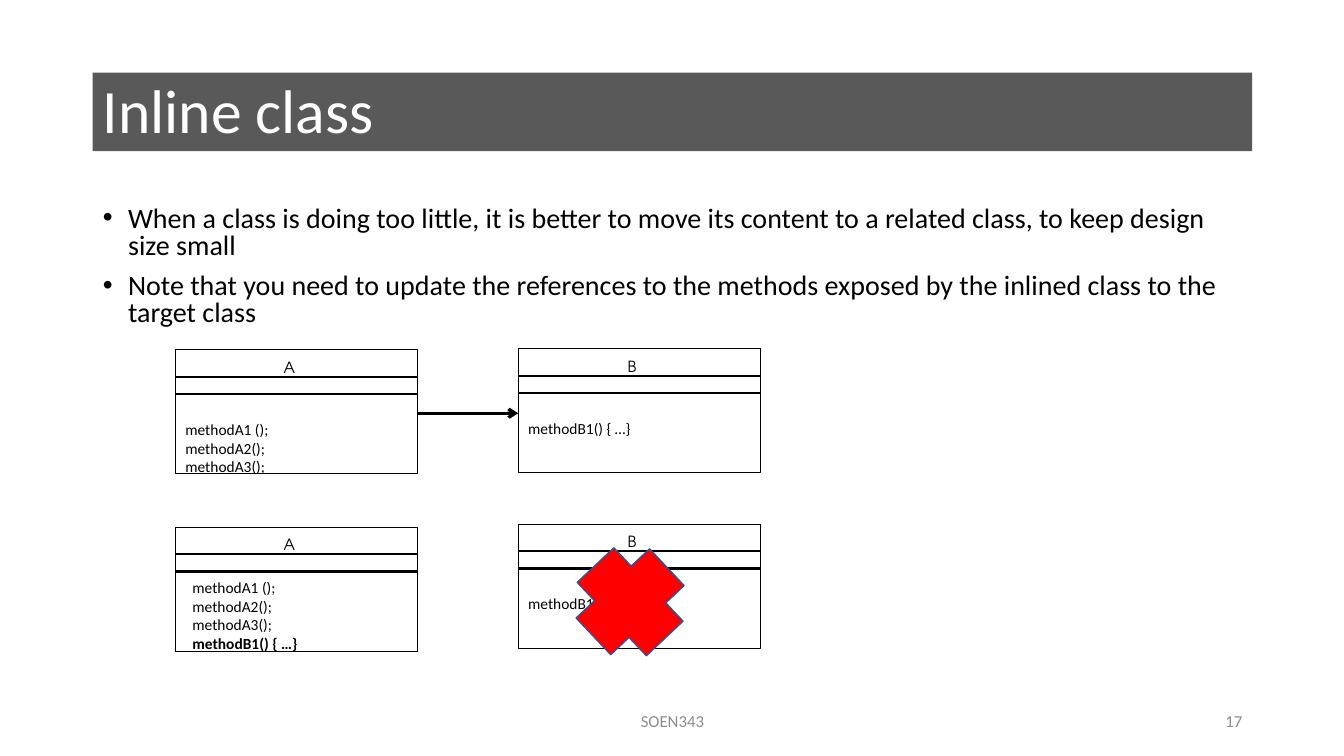
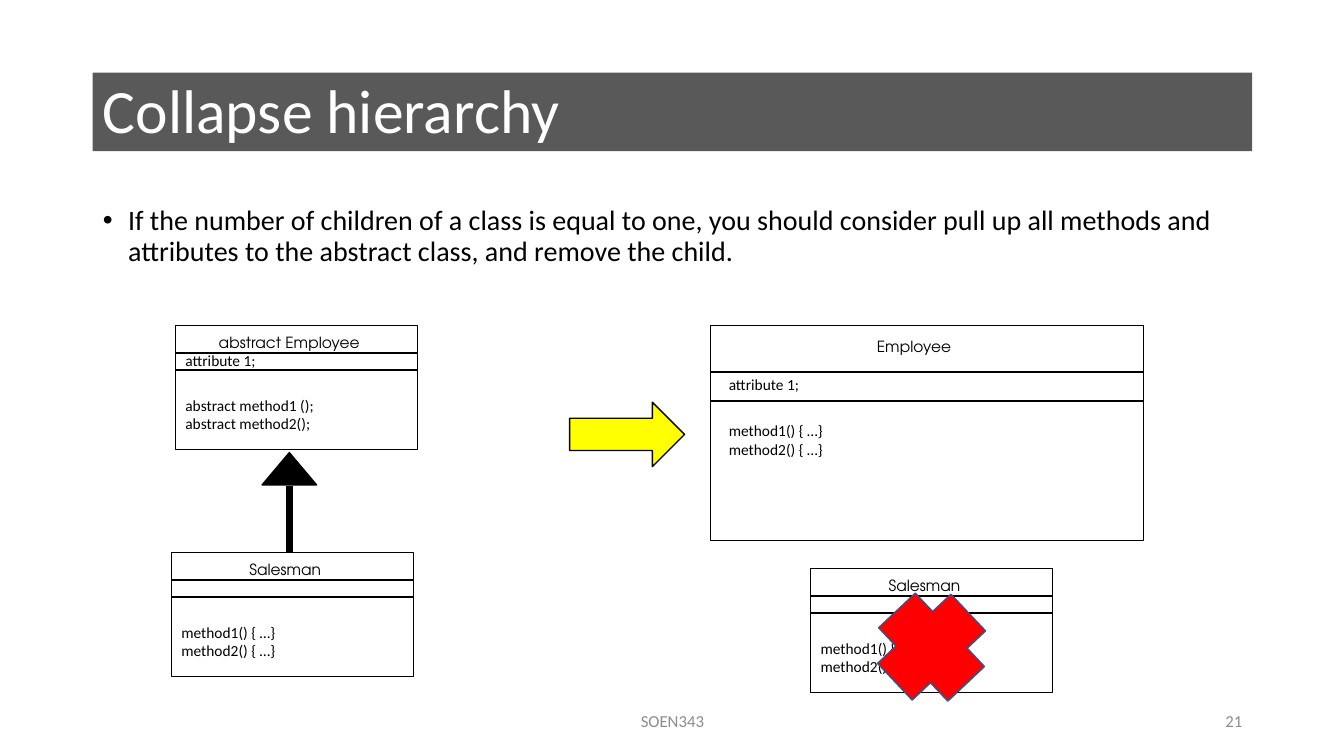
from lxml import etree
from pptx import Presentation
from pptx import util as u
from pptx.dml import color
from pptx.enum import shapes, text
from pptx.oxml import ns

BLACK, WHITE, BAND, GREY = "000000", "FFFFFF", "595959", "8C8C8C"
RED, YELLOW, CROSS_EDGE = "FF0000", "FFFF00", "325491"
BODY_FONT, NAME_FONT = "Calibri", "TeX Gyre Adventor"
LEFT, WIDTH = 0.92, 11.5
ALIGN = text.PP_ALIGN
SHAPE = shapes.MSO_SHAPE


def rgb(value):
    """Turn a hex string into a colour."""
    return color.RGBColor.from_string(value)


def place(item, left, top, width, height):
    """Move and size a shape, in inches."""
    item.left, item.top = u.Inches(left), u.Inches(top)
    item.width, item.height = u.Inches(width), u.Inches(height)


def add_child(parent, tag, **attributes):
    """Append a DrawingML element."""
    return etree.SubElement(parent, ns.qn(tag), attributes)


class Painter:
    """Holds the deck, its style and the current slide."""

    def __init__(self):
        """Start a widescreen deck."""
        self.deck = Presentation()
        self.deck.slide_width, self.deck.slide_height = u.Inches(13.33), u.Inches(7.5)

    def start_slide(self, title, number):
        """Add a slide with its title band and footer."""
        self.slide = self.deck.slides.add_slide(self.deck.slide_layouts[1])
        self.canvas = self.slide.shapes
        band = self.shape(SHAPE.RECTANGLE, LEFT, 0.72, WIDTH, 0.78, fill=BAND)
        heading = self.slide.shapes.title
        heading.element.addprevious(band.element)
        place(heading, LEFT, 0.4, WIDTH, 1.45)
        self.set_text(heading, [title], 44, ink=WHITE, anchor=text.MSO_ANCHOR.MIDDLE)
        heading.text_frame.paragraphs[0].line_spacing = 0.9
        for words, left, width, align in (("SOEN343", 4.42, 4.5, ALIGN.CENTER),
                                          (number, 9.42, 3, ALIGN.RIGHT)):
            self.label([words], left, 6.95, width, 0.4, size=12, ink=GREY,
                       align=align, anchor=text.MSO_ANCHOR.MIDDLE)

    def set_text(self, box, lines, size, font=BODY_FONT, ink=BLACK, align=ALIGN.LEFT,
                 anchor=text.MSO_ANCHOR.TOP):
        """Fill a box with one paragraph per line."""
        frame = box.text_frame
        frame.text = "\n".join(lines)
        frame.word_wrap = True
        frame.auto_size = text.MSO_AUTO_SIZE.NONE
        frame.vertical_anchor = anchor
        for para in frame.paragraphs:
            para.alignment = align
            para.font.size, para.font.name = u.Pt(size), font
            para.font.color.rgb = rgb(ink)

    def label(self, lines, left, top, width, height, size=11, **style):
        """Add a text box."""
        box = self.canvas.add_textbox(0, 0, 0, 0)
        place(box, left, top, width, height)
        self.set_text(box, lines, size, **style)
        return box

    def bullets(self, lines, height, spacing):
        """Fill the body placeholder with a bulleted list."""
        body = self.slide.placeholders[1]
        place(body, LEFT, 2, WIDTH, height)
        self.set_text(body, lines, 20)
        for para in body.text_frame.paragraphs:
            para.line_spacing, para.space_before = spacing, u.Pt(10)
            properties = para._p.get_or_add_pPr()
            properties.set("marL", str(u.Inches(0.25)))
            properties.set("indent", str(u.Inches(-0.25)))
            run_defaults = properties.find(ns.qn("a:defRPr"))
            run_defaults.addprevious(etree.Element(ns.qn("a:buFont"), typeface="Arial"))
            run_defaults.addprevious(etree.Element(ns.qn("a:buChar"), char="•"))

    def shape(self, kind, left, top, width, height, fill=None, edge=None, weight=1):
        """Add a preset shape, optionally filled and outlined."""
        item = self.canvas.add_shape(kind, 0, 0, 0, 0)
        place(item, left, top, width, height)
        item.shadow.inherit = False
        if fill:
            item.fill.solid()
            item.fill.fore_color.rgb = rgb(fill)
        else:
            item.fill.background()
        if edge:
            item.line.color.rgb, item.line.width = rgb(edge), u.Pt(weight)
        else:
            item.line.fill.background()
        return item

    def line(self, left, top, right, bottom, weight=1.5, arrow=False):
        """Add a straight black line, optionally with an arrowhead."""
        ends = [u.Inches(value) for value in (left, top, right, bottom)]
        rule = self.canvas.add_connector(shapes.MSO_CONNECTOR.STRAIGHT, *ends)
        rule.line.color.rgb, rule.line.width = rgb(BLACK), u.Pt(weight)
        properties = rule.element.spPr
        if arrow:
            add_child(properties.find(ns.qn("a:ln")), "a:tailEnd", type="arrow")
        add_child(properties, "a:effectLst")

    def class_box(self, name, left, top, methods, width=2.4, height=1.23,
                  rules=(0.27, 0.44), name_at=(0.11, 0.03, 2.04),
                  methods_at=(0, 0.65), room=0.84, attribute_at=None):
        """Draw a grouped class diagram; offsets count from its corner."""
        page_canvas = self.canvas
        self.canvas = page_canvas.add_group_shape().shapes
        self.shape(SHAPE.RECTANGLE, left, top, width, height, edge=BLACK, weight=0.5)
        for offset in rules:
            self.line(left, top + offset, left + width, top + offset)
        across, down, name_width = name_at
        self.label([name], left + across, top + down, name_width, 0.29,
                   font=NAME_FONT, align=ALIGN.CENTER)
        across, down = methods_at
        listing = self.label(methods, left + across, top + down, 2.4, room)
        if attribute_at:
            across, down = attribute_at
            self.label(["attribute 1;"], left + across, top + down, 2.4, 0.29)
        self.canvas = page_canvas
        return listing

    def cross(self, left, top):
        """Mark a removed class with a red cross."""
        mark = self.shape(SHAPE.CROSS, left, top, 1, 1, fill=RED, edge=CROSS_EDGE)
        mark.rotation = 316.7


def inline_class(painter):
    """Build the slide on inlining a class."""
    painter.start_slide("Inline class", "17")
    painter.bullets([
        "When a class is doing too little, it is better to move its content to a "
        "related class, to keep design size small",
        "Note that you need to update the references to the methods exposed by the "
        "inlined class to the target class"], 1.33, 0.8)
    methods_a = ["methodA1 ();", "methodA2();", "methodA3();"]
    method_b = "methodB1() { …}"
    painter.class_box("A", 1.74, 3.47, methods_a)
    painter.class_box("B", 5.14, 3.46, [method_b], room=0.66)
    painter.line(4.14, 4.1, 5.14, 4.1, weight=2.25, arrow=True)
    merged = painter.class_box("A", 1.74, 5.23, methods_a + [method_b],
                               methods_at=(0.07, 0.46))
    merged.text_frame.paragraphs[-1].font.bold = True
    painter.class_box("B", 5.14, 5.2, [method_b], room=0.66)
    painter.cross(5.75, 5.47)


def collapse_hierarchy(painter):
    """Build the slide on collapsing a hierarchy."""
    painter.start_slide("Collapse hierarchy", "21")
    painter.bullets([
        "If the number of children of a class is equal to one, you should consider "
        "pull up all methods and attributes to the abstract class, and remove the "
        "child."], 0.96, 0.9)
    methods = ["method1() { …}", "method2() { …}"]
    painter.class_box("abstract Employee", 1.74, 3.23,
                      ["abstract method1 ();", "abstract method2();"],
                      room=0.66, attribute_at=(0, 0.2))
    painter.shape(SHAPE.RIGHT_ARROW, 5.65, 3.99, 1.14, 0.64, fill=YELLOW, edge=BLACK)
    painter.shape(SHAPE.ISOSCELES_TRIANGLE, 2.6, 4.49, 0.54, 0.32, fill=BLACK, edge=BLACK)
    painter.line(2.87, 4.82, 2.87, 5.48, weight=4.75)
    painter.class_box("Salesman", 1.7, 5.48, methods)
    painter.class_box("Employee", 7.05, 3.23, methods, width=4.29, height=2.13,
                      rules=(0.46, 0.75), name_at=(0.19, 0.06, 3.65),
                      methods_at=(0.08, 0.9), attribute_at=(0.08, 0.44))
    painter.class_box("Salesman", 8.04, 5.64, methods)
    painter.cross(8.74, 5.92)


painter = Painter()
inline_class(painter)
collapse_hierarchy(painter)
painter.deck.save("out.pptx")
